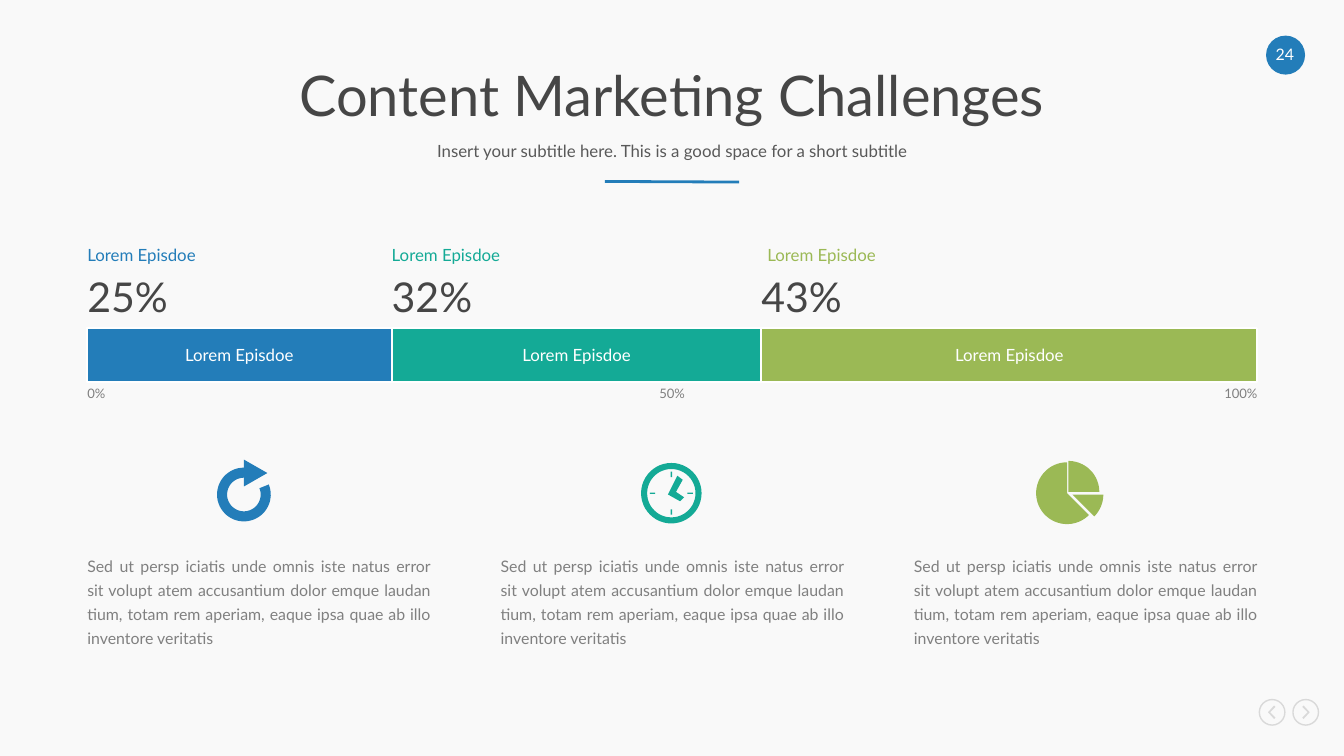
from math import cos, radians, sin
from pptx import Presentation
from pptx.dml.color import RGBColor
from pptx.enum.shapes import MSO_CONNECTOR, MSO_SHAPE
from pptx.enum.text import MSO_ANCHOR, MSO_AUTO_SIZE, PP_ALIGN
from pptx.oxml.ns import qn
from pptx.util import Pt

PX = 4572  # 200 px to the inch
BLUE = RGBColor(0x23, 0x7D, 0xB9)
TEAL = RGBColor(0x14, 0xAA, 0x96)
GREEN = RGBColor(0x9B, 0xB9, 0x55)
WHITE = RGBColor(0xFF, 0xFF, 0xFF)
PAPER = RGBColor(0xF9, 0xF9, 0xF9)
DARK = RGBColor(0x46, 0x46, 0x46)
SLATE = RGBColor(0x59, 0x59, 0x59)
GRAY = RGBColor(0x80, 0x80, 0x80)
PALE = RGBColor(0xD9, 0xD9, 0xD9)
LEFT, MID, RIGHT, FULL = (PP_ALIGN.LEFT, PP_ALIGN.CENTER,
                          PP_ALIGN.RIGHT, PP_ALIGN.JUSTIFY)
LABEL = "Lorem Episdoe"
BODY = ("Sed ut persp iciatis unde omnis iste natus error sit volupt atem "
        "accusantium dolor emque laudan tium, totam rem aperiam, eaque ipsa "
        "quae ab illo inventore veritatis")


def write(shape, box, words, size, color, align, anchor=MSO_ANCHOR.TOP, **para):
    """Place a text shape, fill it and format its one paragraph."""
    for key, val in zip(("left", "top", "width", "height"), box):
        setattr(shape, key, val * PX)
    frame = shape.text_frame
    look = dict(margin_left=0, margin_right=0, margin_top=0, margin_bottom=0,
                word_wrap=True, auto_size=MSO_AUTO_SIZE.NONE,
                vertical_anchor=anchor)
    for key, val in look.items():
        setattr(frame, key, val)
    line = frame.paragraphs[0]
    for key, val in dict(text=words, alignment=align, **para).items():
        setattr(line, key, val)
    font = line.runs[0].font
    for key, val in dict(name="Lato", size=Pt(size), bold=False).items():
        setattr(font, key, val)
    font.color.rgb = color


def arc(x, y, r, start, end):
    """Points on a circle, clockwise in degrees from three o'clock."""
    return [(x + r * cos(radians(start + (end - start) * i / 48)),
             y + r * sin(radians(start + (end - start) * i / 48)))
            for i in range(49)]


deck = Presentation()
deck.slide_width, deck.slide_height = 2000 * PX, 1125 * PX
slide = deck.slides.add_slide(deck.slide_layouts[5])
slide.background.fill.solid()
slide.background.fill.fore_color.rgb = PAPER
shapes = slide.shapes

# Heading
write(shapes.title, (130, 96, 1740, 100), "Content Marketing Challenges",
      30, DARK, MID, MSO_ANCHOR.MIDDLE, line_spacing=0.9, space_before=Pt(0))
write(shapes.add_textbox(0, 0, 0, 0), (130, 202, 1740, 50),
      "Insert your subtitle here. This is a good space for a short subtitle",
      9, SLATE, MID, MSO_ANCHOR.MIDDLE, line_spacing=0.9)
rule = shapes.add_connector(MSO_CONNECTOR.STRAIGHT,
                            900 * PX, 270 * PX, 1100 * PX, 271 * PX)
rule.line.color.rgb = BLUE
rule.line.width = Pt(1.5)
rule._element.spPr.append(rule._element.spPr.makeelement(qn("a:effectLst"), {}))

# Bar parts, page badge and rings: kind, box, fill, line, line width
parts = [("25%", 130, 453, 130, BLUE), ("32%", 583, 550, 583, TEAL),
         ("43%", 1133, 738, 1142, GREEN)]
rings = [1893, 1943]
solids = [(MSO_SHAPE.RECTANGLE, (x, 488, w, 80), color, WHITE, 1)
          for _, x, w, _, color in parts]
solids.append((MSO_SHAPE.OVAL, (1884, 53, 58, 58), BLUE, None, 0))
solids += [(MSO_SHAPE.OVAL, (x - 19, 1041, 38, 38), None, PALE, 0.75)
           for x in rings]
for kind, box, fill, edge, width in solids:
    solid = shapes.add_shape(kind, *(n * PX for n in box))
    solid.shadow.inherit = False
    if fill:
        solid.fill.solid()
        solid.fill.fore_color.rgb = fill
    else:
        solid.fill.background()
    if edge:
        solid.line.color.rgb = edge
        solid.line.width = Pt(width)
    else:
        solid.line.fill.background()

# Icons: each a colour and its closed outlines
redo = [arc(363, 736, 40, -22, 270)
        + [(363, 684), (398, 704), (363, 724), (363, 711)]
        + arc(363, 736, 25, 270, -22)]
clock = [arc(999, 734, 45, 0, 360), arc(999, 734, 36, 0, 360),
         [(994, 736), (1008, 708), (1016, 714), (1006, 732),
          (1018, 740), (1012, 746)]]
for dx, dy in ((1, 0), (0, 1), (-1, 0), (0, -1)):
    clock.append([(999 + dx * far - dy * side, 734 + dy * far + dx * side)
                  for far, side in ((24, -1), (32, -1), (32, 1), (24, 1))])
pie = [[(1588, 734)] + arc(1588, 734, 46, 45, 270),
       [(1590, 732)] + arc(1590, 732, 46, 270, 360),
       [(1596, 736)] + arc(1596, 736, 46, 0, 45)]
hook = [(5, -8), (-3, 0), (5, 8), (3, 10), (-6, 0), (3, -10)]
icons = [(BLUE, redo), (TEAL, clock), (GREEN, pie)]
icons += [(PALE, [[(x + flip * dx, 1060 + dy) for dx, dy in hook]])
          for x, flip in zip(rings, (1, -1))]
for color, loops in icons:
    pen = None
    for loop in loops:
        dots = [(x * PX, y * PX) for x, y in loop]
        if pen is None:
            pen = shapes.build_freeform(*dots[0])
        else:
            pen.move_to(*dots[0])
        pen.add_line_segments(dots[1:], close=True)
    icon = pen.convert_to_shape()
    icon.shadow.inherit = False
    icon.fill.solid()
    icon.fill.fore_color.rgb = color
    icon.line.fill.background()

# Labels: box, words, size, colour, alignment
texts = [((1888, 66, 48, 28), "24", 8.5, WHITE, MID),
         ((130, 574, 70, 24), "0%", 7, GRAY, LEFT),
         ((965, 574, 70, 24), "50%", 7, GRAY, MID),
         ((1801, 574, 70, 24), "100%", 7, GRAY, RIGHT)]
for share, x, w, tag, color in parts:
    texts += [((x, 404, 160, 72), share, 22, DARK, FULL),
              ((tag, 364, 220, 32), LABEL, 9, color, FULL),
              ((x + w // 2 - 158, 513, 316, 32), LABEL, 9, WHITE, MID)]
for item in texts:
    write(shapes.add_textbox(0, 0, 0, 0), *item)

for i in range(3):
    write(shapes.add_textbox(0, 0, 0, 0), (130 + 615 * i, 820, 511, 142),
          BODY, 8.5, GRAY, FULL, line_spacing=Pt(13), space_after=Pt(12))

deck.save("out.pptx")
